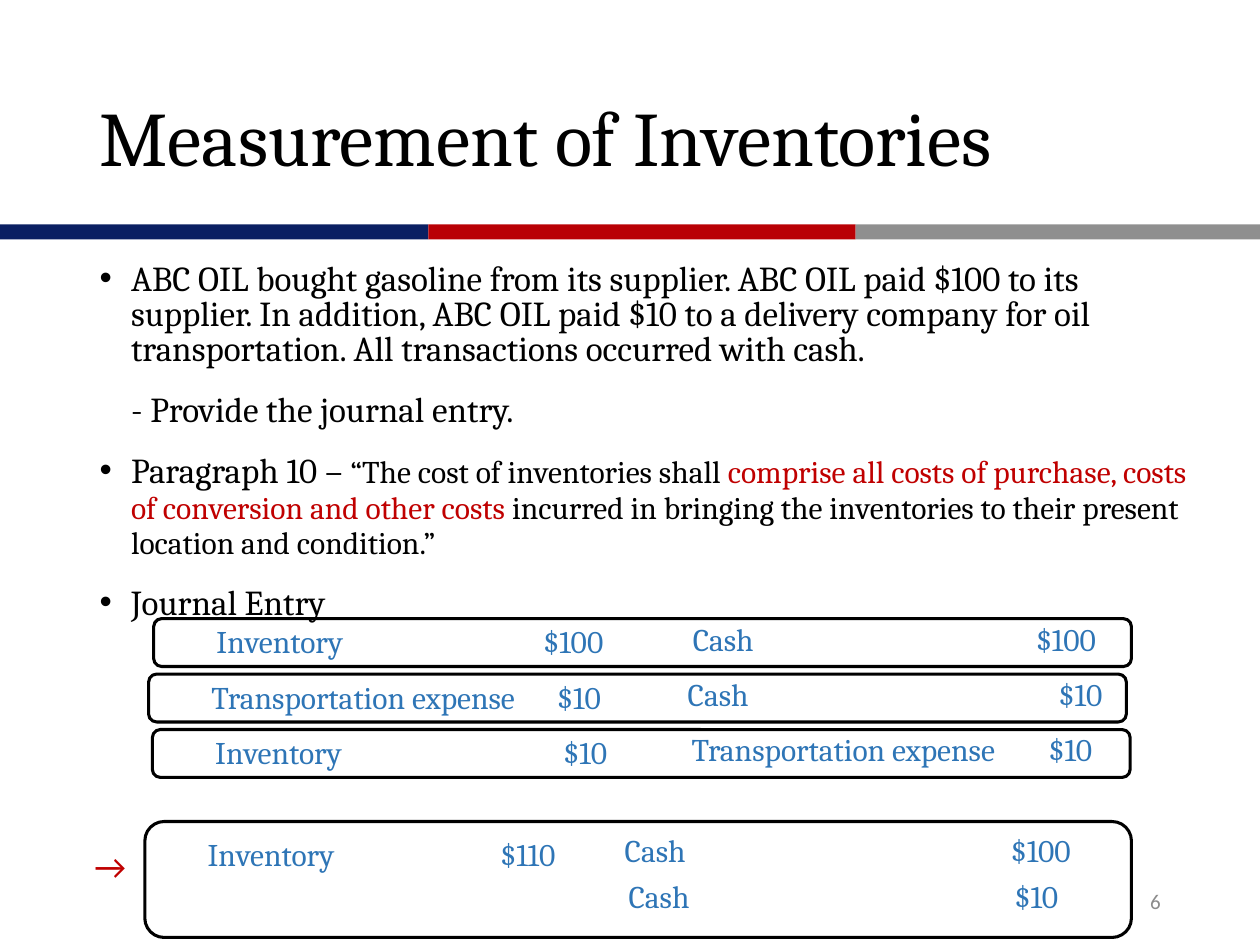
import pptx
import pptx.util
import pptx.dml.color
import pptx.enum.shapes
import pptx.enum.text
import pptx.oxml.ns
from lxml import etree

Inches = pptx.util.Inches
Pt = pptx.util.Pt
ANCHOR = pptx.enum.text.MSO_ANCHOR
ALIGN = pptx.enum.text.PP_ALIGN
SHAPE = pptx.enum.shapes.MSO_SHAPE
COLORS = {
    "navy": "0A1F62", "red": "B90005", "gray": "8F8F8F", "text": "000000",
    "accent": "C00000", "entry": "2E75B6", "number": "8C8C8C",
}


def rgb(name):
    """Return the named palette colour."""
    return pptx.dml.color.RGBColor.from_string(COLORS[name])


def add_run(p, text, size=20, color="text", font="Cambria"):
    """Add a formatted run to a paragraph."""
    r = p.add_run()
    r.text = text
    r.font.size = Pt(size)
    r.font.name = font
    r.font.color.rgb = rgb(color)


def place(sp, left, top, width, height):
    """Move and size a shape, in inches."""
    sp.left, sp.top = Inches(left), Inches(top)
    sp.width, sp.height = Inches(width), Inches(height)


def add_text(slide, box, text, align=ALIGN.LEFT, anchor=ANCHOR.TOP, **fmt):
    """Add a one-line text box and return its paragraph."""
    tf = slide.shapes.add_textbox(*map(Inches, box)).text_frame
    tf.word_wrap = True
    tf.vertical_anchor = anchor
    p = tf.paragraphs[0]
    p.alignment = align
    add_run(p, text, **fmt)
    return p


def add_title(slide, box, text):
    """Fill the title placeholder."""
    sp = slide.shapes.title
    place(sp, *box)
    tf = sp.text_frame
    tf.auto_size = pptx.enum.text.MSO_AUTO_SIZE.NONE
    tf.vertical_anchor = ANCHOR.MIDDLE
    p = tf.paragraphs[0]
    p.alignment = ALIGN.LEFT
    p.line_spacing = 0.9
    add_run(p, text, size=44)


def add_stripe(slide, left, top, height, segments):
    """Draw adjoining coloured bars from left to right."""
    for width, color in segments:
        sp = slide.shapes.add_shape(SHAPE.RECTANGLE, *map(Inches, (left, top, width, height)))
        sp.shadow.inherit = False
        sp.fill.solid()
        sp.fill.fore_color.rgb = rgb(color)
        sp.line.fill.background()
        left += width


def add_body(slide, box, items):
    """Fill the body placeholder with (bulleted, runs) items."""
    sp = slide.placeholders[1]
    place(sp, *box)
    tf = sp.text_frame
    tf.auto_size = pptx.enum.text.MSO_AUTO_SIZE.NONE
    for i, (bulleted, runs) in enumerate(items):
        p = tf.add_paragraph() if i else tf.paragraphs[0]
        pPr = p._p.get_or_add_pPr()
        pPr.set("marL", str(Inches(0.25)))
        pPr.set("indent", str(Inches(-0.25 if bulleted else 0)))
        if bulleted:
            etree.SubElement(pPr, pptx.oxml.ns.qn("a:buChar"), char="•")
        else:
            etree.SubElement(pPr, pptx.oxml.ns.qn("a:buNone"))
        p.line_spacing = Pt(20)
        p.space_before = Pt(3 if i else 0)
        p.space_after = Pt(12)
        for text, fmt in runs:
            add_run(p, text, **fmt)


def add_frame(slide, left, top, width, height):
    """Draw the rounded outline around a journal entry."""
    sp = slide.shapes.add_shape(SHAPE.ROUNDED_RECTANGLE, *map(Inches, (left, top, width, height)))
    sp.shadow.inherit = False
    sp.fill.background()
    sp.line.color.rgb = rgb("text")
    sp.line.width = Pt(1.75)


def add_posting(slide, left, top, right, account, amount, spacing=None):
    """Write an account with its amount ending at the right edge."""
    width = right - left
    p = add_text(slide, (left - 0.1, top, width + 0.3, 0.4),
                 f"{account}\t{amount}", size=18, color="entry")
    tabs = etree.SubElement(p._p.get_or_add_pPr(), pptx.oxml.ns.qn("a:tabLst"))
    etree.SubElement(tabs, pptx.oxml.ns.qn("a:tab"), pos=str(Inches(width)), algn="r")
    p.line_spacing = spacing


def add_entry(slide, box, debit, credits):
    """Draw a framed entry; postings are (x, y, right, account, amount) from its corner."""
    left, top = box[:2]
    add_frame(slide, *box)
    for side, spacing in (([debit], None), (credits, Pt(20))):
        for x, y, right, account, amount in side:
            add_posting(slide, left + x, top + y, left + right, account, amount, spacing)


def main():
    """Build the slide."""
    prs = pptx.Presentation()
    prs.slide_width, prs.slide_height = Inches(10), Inches(7.5)
    slide = prs.slides.add_slide(prs.slide_layouts[1])
    add_stripe(slide, 0, 1.78, 0.12, [(3.4, "navy"), (3.39, "red"), (3.21, "gray")])
    add_title(slide, (0.69, 0.4, 8.98, 1.45), "Measurement of Inventories")
    add_body(slide, (0.69, 2.04, 8.83, 4.72), [
        (True, [("ABC OIL bought gasoline from its supplier. ABC OIL paid $100 to its "
                 "supplier. In addition, ABC OIL paid $10 to a delivery company for oil "
                 "transportation. All transactions occurred with cash.", {})]),
        (False, [("- Provide the journal entry.", {})]),
        (True, [("Paragraph 10 – ", {}),
                ("“The cost of inventories shall ", {"size": 18}),
                ("comprise all costs of purchase, costs of conversion and other costs",
                 {"size": 18, "color": "accent"}),
                (" incurred in bringing the inventories to their present location "
                 "and condition.”", {"size": 18})]),
        (True, [("Journal Entry", {})]),
    ])
    rows = [
        (1.22, ("Inventory", "$100", 3.57), ("Cash", "$100", 7.48)),
        (1.18, ("Transportation expense", "$10", 3.59), ("Cash", "$10", 7.57)),
        (1.21, ("Inventory", "$10", 3.61), ("Transportation expense", "$10", 7.46)),
    ]
    for i, (left, debit, credit) in enumerate(rows):
        add_entry(slide, (left, 4.91 + 0.44 * i, 7.76, 0.38),
                  (0.5, -0.02, debit[2], *debit[:2]),
                  [(4.28, -0.02, credit[2], *credit[:2])])
    add_entry(slide, (1.15, 6.52, 7.83, 0.92),
              (0.5, 0.06, 3.26, "Inventory", "$110"),
              [(3.81, 0.05, 7.35, "Cash", "$100"), (3.84, 0.41, 7.25, "Cash", "$10")])
    add_text(slide, (0.65, 6.65, 0.5, 0.44), "→", color="accent", font="Calibri")
    add_text(slide, (7.06, 6.95, 2.25, 0.4), "6", align=ALIGN.RIGHT,
             anchor=ANCHOR.MIDDLE, size=12, color="number", font="Calibri")
    prs.save("out.pptx")


if __name__ == "__main__":
    main()
